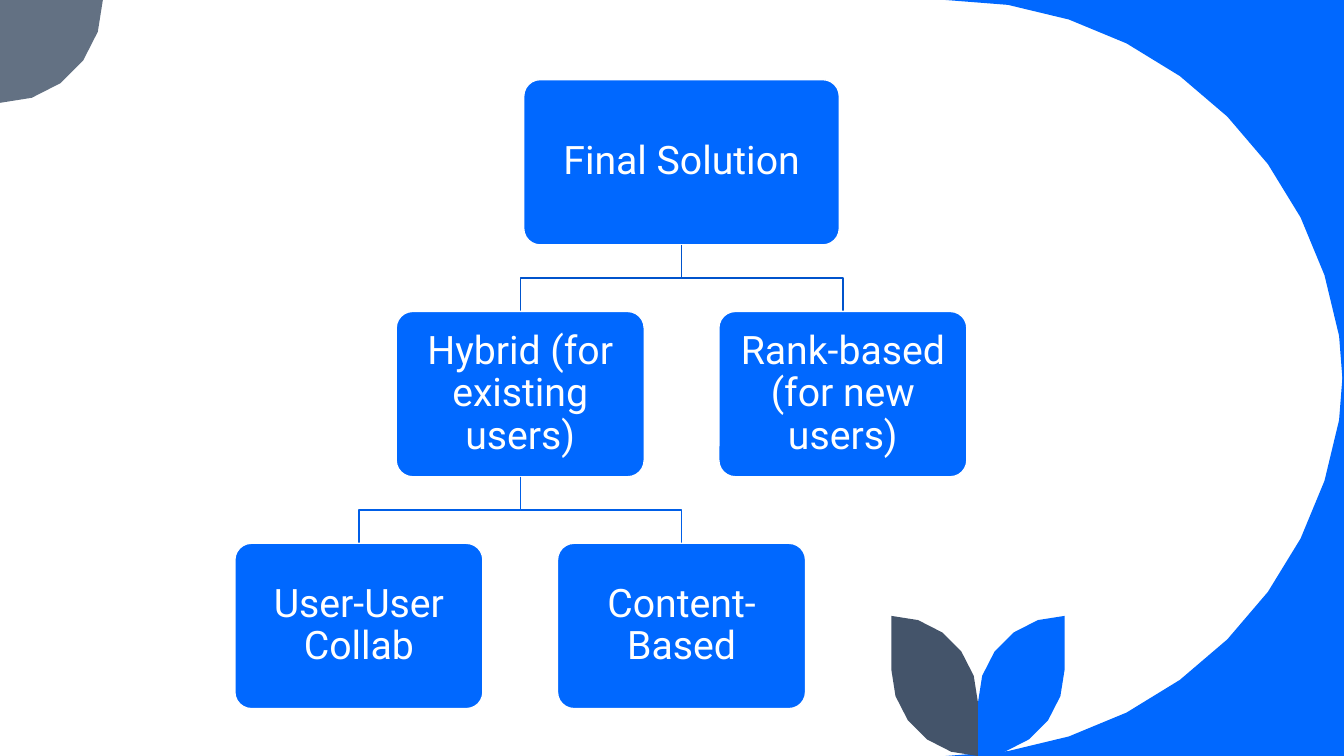
import math
from dataclasses import dataclass
from typing import Optional

import pptx
import pptx.dml.color
import pptx.enum.shapes
import pptx.enum.text
import pptx.util

SLIDE_WIDTH, SLIDE_HEIGHT = 13.33, 7.5
COLORS = {
    "blue": "0068FF",
    "gray": "637183",
    "slate": "44546A",
    "white": "FFFFFF",
    "upper_branch": "0053CC",
    "lower_branch": "005EE7",
}

# Tree grid: centre of column 0, top of row 0, and the step between them
FIRST_COLUMN, COLUMN_STEP = 3.56, 1.6
FIRST_ROW, ROW_STEP = 0.79, 2.3
NODE_HEIGHT = 1.64

SWOOSH_RADIUS = 3.95
CORNER_RADIUS = 1.02
LEAF_WIDTH, LEAF_HEIGHT = 0.86, 1.39
STEM = 9.7

Point = tuple[float, float]


@dataclass(frozen=True)
class Node:
    label: str
    column: int
    row: int
    width: float = 2.46
    parent: Optional["Node"] = None
    branch_color: str = "upper_branch"

    @property
    def center(self) -> float:
        return FIRST_COLUMN + self.column * COLUMN_STEP

    @property
    def top(self) -> float:
        return FIRST_ROW + self.row * ROW_STEP

    @property
    def bottom(self) -> float:
        return self.top + NODE_HEIGHT


@dataclass(frozen=True)
class Ornament:
    outline: list[Point]
    color: str


def rgb(name: str) -> pptx.dml.color.RGBColor:
    return pptx.dml.color.RGBColor.from_string(COLORS[name])


def quarter_arc(center: Point, radius: float, start: int) -> list[Point]:
    """Points of a quarter circle, clockwise from start degrees; 0 is right."""
    steps = 10 if radius > 2 else 5
    angles = [math.radians(start + 90 * i / steps) for i in range(steps + 1)]
    return [(center[0] + radius * math.cos(a), center[1] + radius * math.sin(a))
            for a in angles]


def leaf(side: int) -> list[Point]:
    """Outline of a leaf to the right (side 1) or left (side -1) of the stem."""
    tip = SLIDE_HEIGHT - LEAF_HEIGHT
    lower = quarter_arc((STEM, SLIDE_HEIGHT - LEAF_WIDTH), LEAF_WIDTH, 0)
    upper = quarter_arc((STEM + LEAF_WIDTH, tip + LEAF_WIDTH), LEAF_WIDTH, 180)
    return [(STEM + side * (x - STEM), y) for x, y in lower + upper]


def add_outline(slide: pptx.slide.Slide, points: list[Point],
                closed: bool) -> pptx.shapes.autoshape.Shape:
    corners = [(pptx.util.Inches(x), pptx.util.Inches(y)) for x, y in points]
    builder = slide.shapes.build_freeform(*corners[0])
    builder.add_line_segments(corners[1:], close=closed)
    outline = builder.convert_to_shape()
    outline.shadow.inherit = False
    return outline


def add_ornament(slide: pptx.slide.Slide, ornament: Ornament) -> None:
    area = add_outline(slide, ornament.outline, closed=True)
    area.fill.solid()
    area.fill.fore_color.rgb = rgb(ornament.color)
    area.line.fill.background()


def add_branch(slide: pptx.slide.Slide, node: Node) -> None:
    start, end = node.parent.bottom, node.top
    middle = (start + end) / 2
    branch = add_outline(slide, [(node.parent.center, start), (node.parent.center, middle),
                                 (node.center, middle), (node.center, end)], closed=False)
    branch.fill.background()
    branch.line.color.rgb = rgb(node.branch_color)
    branch.line.width = pptx.util.Pt(1)


def add_node(slide: pptx.slide.Slide, node: Node) -> None:
    box = slide.shapes.add_shape(
        pptx.enum.shapes.MSO_SHAPE.ROUNDED_RECTANGLE,
        pptx.util.Inches(node.center - node.width / 2), pptx.util.Inches(node.top),
        pptx.util.Inches(node.width), pptx.util.Inches(NODE_HEIGHT))
    box.adjustments[0] = 0.1
    box.shadow.inherit = False
    box.fill.solid()
    box.fill.fore_color.rgb = rgb("blue")
    box.line.color.rgb = rgb("white")
    box.line.width = pptx.util.Pt(1)

    frame = box.text_frame
    frame.word_wrap = True
    frame.vertical_anchor = pptx.enum.text.MSO_ANCHOR.MIDDLE
    inset = pptx.util.Inches(0.12)
    frame.margin_left = frame.margin_right = inset
    frame.margin_top = frame.margin_bottom = inset
    paragraph = frame.paragraphs[0]
    paragraph.alignment = pptx.enum.text.PP_ALIGN.CENTER
    paragraph.line_spacing = 0.9
    run = paragraph.add_run()
    run.text = node.label
    run.font.name = "Roboto"
    run.font.size = pptx.util.Pt(28)
    run.font.color.rgb = rgb("white")


def main() -> None:
    deck = pptx.Presentation()
    deck.slide_width = pptx.util.Inches(SLIDE_WIDTH)
    deck.slide_height = pptx.util.Inches(SLIDE_HEIGHT)
    slide = deck.slides.add_slide(deck.slide_layouts[6])

    swoosh_x = SLIDE_WIDTH - SWOOSH_RADIUS
    ornaments = [
        Ornament([(SLIDE_WIDTH, 0)]
                 + quarter_arc((swoosh_x, SWOOSH_RADIUS), SWOOSH_RADIUS, 270), "blue"),
        Ornament([(SLIDE_WIDTH, SLIDE_HEIGHT)]
                 + quarter_arc((swoosh_x, SLIDE_HEIGHT - SWOOSH_RADIUS), SWOOSH_RADIUS, 0),
                 "blue"),
        Ornament([(0, 0)] + quarter_arc((0, 0), CORNER_RADIUS, 0), "gray"),
        Ornament(leaf(1), "blue"),
        Ornament(leaf(-1), "slate"),
    ]
    for ornament in ornaments:
        add_ornament(slide, ornament)

    solution = Node("Final Solution", 2, 0, width=3.13)
    hybrid = Node("Hybrid (for existing users)", 1, 1, parent=solution)
    tree = [
        solution,
        hybrid,
        Node("User-User Collab", 0, 2, parent=hybrid, branch_color="lower_branch"),
        Node("Content-Based", 2, 2, parent=hybrid, branch_color="lower_branch"),
        Node("Rank-based (for new users)", 3, 1, parent=solution),
    ]
    for node in tree:
        if node.parent:
            add_branch(slide, node)
        add_node(slide, node)

    deck.save("out.pptx")


if __name__ == "__main__":
    main()
